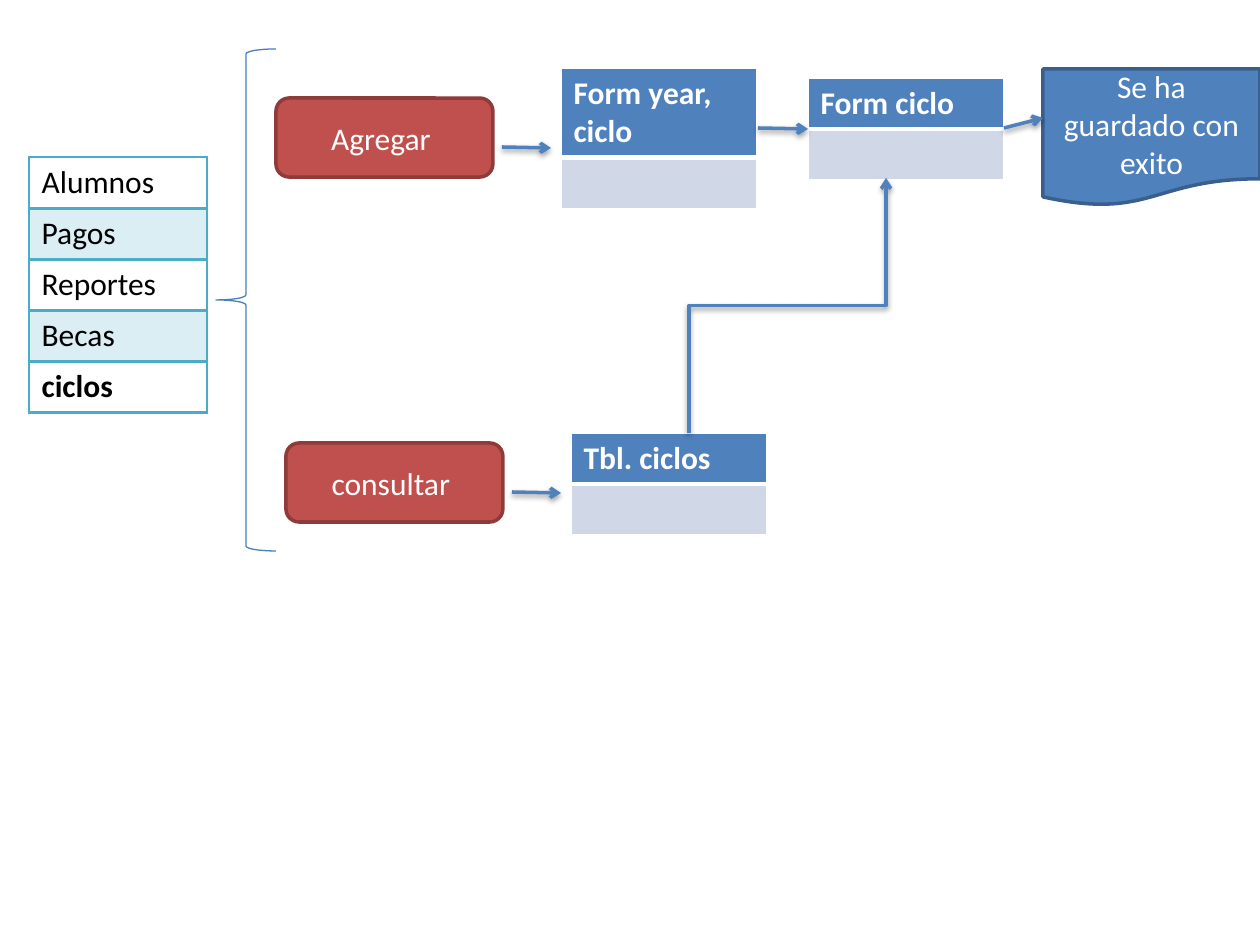
from lxml import etree
from pptx import Presentation
from pptx import util as u
from pptx.dml import color
from pptx.enum import shapes, text
from pptx.oxml import ns

PX = 914400 / 126
BLUE, RED, TEAL, WHITE, BLACK = "4F81BD", "C0504D", "4BACC6", "FFFFFF", "000000"
PALE_BLUE, PALE_TEAL = "D0D8E8", "DBEEF4"


def px(length):
    return u.Emu(round(length * PX))


def rgb(value):
    return color.RGBColor.from_string(value)


def add_child(parent, tag, **attributes):
    return etree.SubElement(parent, ns.qn(tag), attributes)


class Diagram:
    """Holds the text style and the slide that elements are drawn on."""

    def __init__(self, page, font="Calibri", size=18):
        self.page, self.font, self.size = page, font, size

    def style_text(self, frame, ink, bold=False, align=None):
        for para in frame.paragraphs:
            para.alignment = align
            for item in (para, *para.runs):
                item.font.name, item.font.size = self.font, u.Pt(self.size)
                item.font.bold, item.font.color.rgb = bold, rgb(ink)

    def box(self, kind, left, top, width, height, words, fill, line):
        box = self.page.shapes.add_shape(kind, px(left), px(top), px(width), px(height))
        box.shadow.inherit = False
        box.fill.solid()
        box.fill.fore_color.rgb = rgb(fill)
        box.line.color.rgb, box.line.width = rgb(line), u.Pt(2)
        box.text_frame.text = words
        box.text_frame.vertical_anchor = text.MSO_ANCHOR.MIDDLE
        self.style_text(box.text_frame, WHITE, align=text.PP_ALIGN.CENTER)

    def brace(self, left, top, width, height):
        brace = self.page.shapes.add_shape(
            shapes.MSO_SHAPE.LEFT_BRACE, px(left), px(top), px(width), px(height))
        brace.shadow.inherit = False
        brace.fill.background()
        brace.line.color.rgb, brace.line.width = rgb("4B7EBC"), u.Pt(0.75)

    def grid(self, left, top, width, heights):
        """Add a one-column table without banding."""
        table = self.page.shapes.add_table(
            len(heights), 1, px(left), px(top), px(width), px(sum(heights))).table
        table.first_row = table.horz_banding = False
        for row, height in zip(table.rows, heights):
            row.height = px(height)
        return table

    def cell(self, cell, words, ink, fill, border, widths, bold=False):
        """Style a cell; widths are its left, right, top and bottom borders in points."""
        cell.text_frame.text = words
        self.style_text(cell.text_frame, ink, bold)
        props = cell._tc.get_or_add_tcPr()
        for side, width in zip("LRTB", widths):
            edge = add_child(props, f"a:ln{side}", w=str(u.Pt(width)))
            add_child(add_child(edge, "a:solidFill"), "a:srgbClr", val=border)
        if fill:
            cell.fill.solid()
            cell.fill.fore_color.rgb = rgb(fill)
        else:
            cell.fill.background()

    def menu(self, left, top, width, row_height, entries):
        """Add a banded list whose last entry is the selected one."""
        table = self.grid(left, top, width, [row_height] * len(entries))
        last = len(entries) - 1
        for i, entry in enumerate(entries):
            widths = (1, 1, 1 if i == 0 else 2, 2)
            self.cell(table.cell(i, 0), entry, BLACK, PALE_TEAL if i % 2 else None,
                      TEAL, widths, bold=i == last)

    def form(self, left, top, title, header_height=50):
        table = self.grid(left, top, 196, [header_height, 50])
        self.cell(table.cell(0, 0), title, WHITE, BLUE, WHITE, (1, 1, 1, 3), bold=True)
        self.cell(table.cell(1, 0), "", BLACK, PALE_BLUE, WHITE, (1, 1, 3, 1))

    def arrow(self, x1, y1, x2, y2, kind=shapes.MSO_CONNECTOR.STRAIGHT):
        arrow = self.page.shapes.add_connector(kind, px(x1), px(y1), px(x2), px(y2))
        arrow.line.color.rgb, arrow.line.width = rgb(BLUE), u.Pt(2)
        add_child(arrow.line._get_or_add_ln(), "a:tailEnd", type="arrow")
        effects = add_child(arrow._element.spPr, "a:effectLst")
        shadow = add_child(effects, "a:outerShdw", blurRad="40000", dist="20000",
                           dir="5400000", rotWithShape="0")
        add_child(add_child(shadow, "a:srgbClr", val=BLACK), "a:alpha", val="38000")
        return arrow

    def rising_arrow(self, x1, y1, x2, y2):
        """Add an elbow arrow that leaves and arrives vertically, by a quarter turn."""
        mid_x, mid_y = (x1 + x2) / 2, (y1 + y2) / 2
        half_run, half_rise = (x2 - x1) / 2, (y1 - y2) / 2
        arrow = self.arrow(mid_x + half_rise, mid_y + half_run,
                           mid_x - half_rise, mid_y - half_run,
                           shapes.MSO_CONNECTOR.ELBOW)
        arrow._element.spPr.xfrm.set("rot", "5400000")


def main():
    deck = Presentation()
    deck.slide_width, deck.slide_height = px(1260), px(945)
    diagram = Diagram(deck.slides.add_slide(deck.slide_layouts[6]))

    diagram.menu(29, 157, 178, 51, ["Alumnos", "Pagos", "Reportes", "Becas", "ciclos"])
    for left, top, action in ((276, 98, "Agregar "), (286, 443, "consultar ")):
        diagram.box(shapes.MSO_SHAPE.ROUNDED_RECTANGLE, left, top, 217, 79,
                    action, RED, "8E3B39")

    diagram.form(561, 68, "Form year,\nciclo", header_height=89)
    diagram.form(571, 433, "Tbl. ciclos")
    diagram.form(808, 78, "Form ciclo")
    diagram.box(shapes.MSO_SHAPE.FLOWCHART_DOCUMENT, 1043, 69, 217, 137,
                "Se ha guardado con exito", BLUE, "3A5F8C")
    diagram.brace(216, 49, 60, 502)

    for ends in ((502, 147, 551, 148), (512, 492, 561, 493),
                 (758, 128, 808, 129), (1004, 128, 1043, 118)):
        diagram.arrow(*ends)
    diagram.rising_arrow(689, 433, 886, 178)

    deck.save("out.pptx")


if __name__ == "__main__":
    main()
